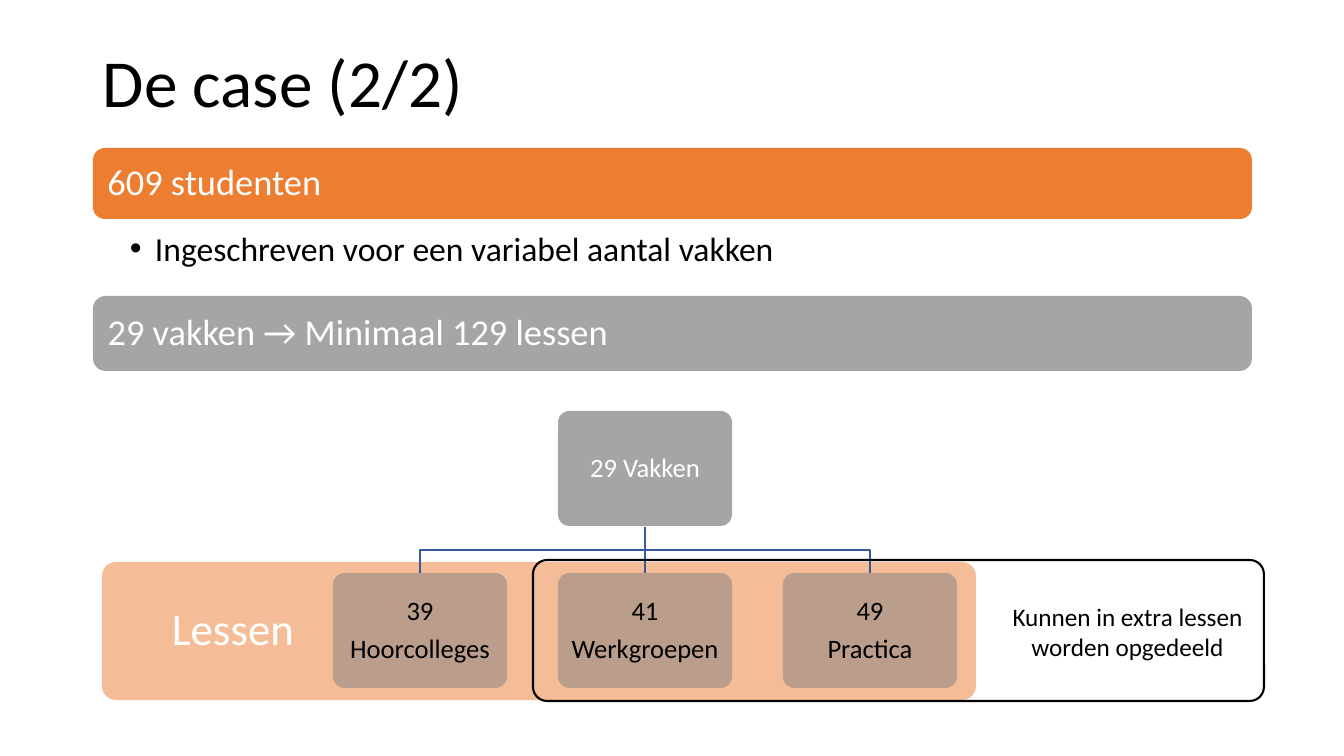
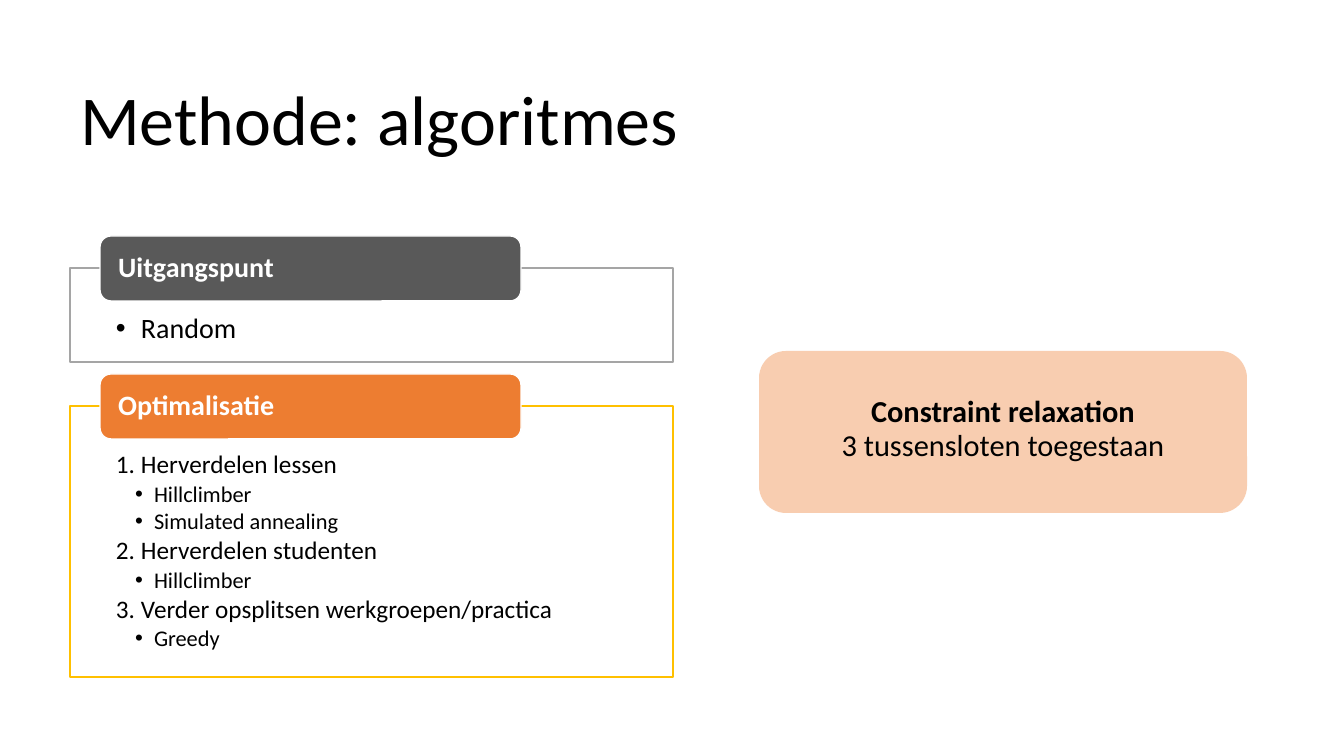
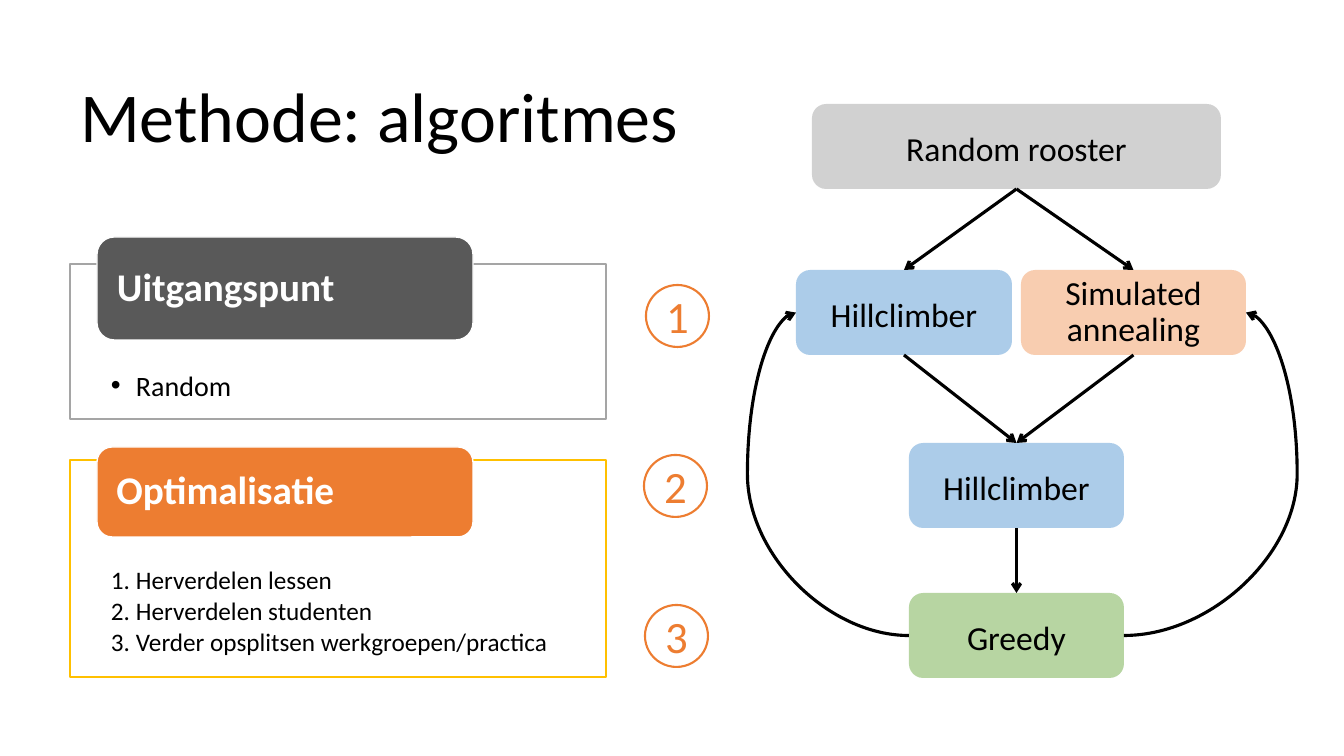
from dataclasses import dataclass

from pptx import Presentation
from pptx.dml.color import RGBColor
from pptx.enum.shapes import MSO_CONNECTOR, MSO_SHAPE
from pptx.enum.text import MSO_ANCHOR, PP_ALIGN
from pptx.oxml.ns import qn
from pptx.oxml.xmlchemy import OxmlElement
from pptx.util import Emu, Pt

SCALE = 914400 / 100.8
TOP, LEFT, BOTTOM, RIGHT = range(4)


@dataclass(frozen=True)
class Theme:
    """Colours and type sizes of the deck."""
    font: str = "Calibri"
    black: str = "000000"
    white: str = "FFFFFF"
    orange: str = "ED7D31"
    yellow: str = "FFC000"
    grey: str = "A5A5A5"
    mid_grey: str = "808080"
    dark_grey: str = "595959"
    blue: str = "5B9BD5"
    green: str = "70AD47"
    link: str = "365B9D"
    title: int = 50
    large: int = 32
    heading: int = 28
    bar: int = 26
    body: int = 24
    item: int = 20
    card: int = 19
    note: int = 18
    sub: int = 16


THEME = Theme()


def px(value):
    """Turn pixels into EMU."""
    return Emu(round(value * SCALE))


def add_xml(parent, tag, **attributes):
    """Append a child element with attributes and return it."""
    child = OxmlElement(tag)
    for name, value in attributes.items():
        child.set(name, str(value))
    parent.append(child)
    return child


def set_mark(p, mark, margin, hang):
    """Give a paragraph a bullet, or a number when mark is '1.'."""
    pPr = p._p.get_or_add_pPr()
    pPr.set("marL", str(px(margin)))
    pPr.set("indent", str(-px(hang)))
    if mark == "1.":
        add_xml(pPr, "a:buFont", typeface="+mj-lt")
        add_xml(pPr, "a:buAutoNum", type="arabicPeriod")
    else:
        add_xml(pPr, "a:buFont", typeface="Arial")
        add_xml(pPr, "a:buChar", char=mark)


def add_paragraph(p, text, size=THEME.body, color=THEME.black, bold=False,
                  align=PP_ALIGN.LEFT, spacing=0.9, after=0, mark=None,
                  level=0, margin=25, hang=25):
    """Fill one paragraph with formatted text."""
    p.alignment, p.level = align, level
    p.line_spacing, p.space_after = spacing, Pt(after)
    if mark:
        set_mark(p, mark, margin, hang)
    r = p.add_run()
    r.text = text
    r.font.name, r.font.size, r.font.bold = THEME.font, Pt(size), bold
    r.font.color.rgb = RGBColor.from_string(color)


def write(sp, lines, anchor=MSO_ANCHOR.MIDDLE, inset=(10, 5, 10, 5), **style):
    """Write lines into a shape; a line is text or (text, own format)."""
    tf = sp.text_frame
    tf.word_wrap, tf.vertical_anchor = True, anchor
    tf.margin_left, tf.margin_top, tf.margin_right, tf.margin_bottom = map(px, inset)
    for i, line in enumerate([lines] if isinstance(lines, str) else lines):
        text, own = (line, {}) if isinstance(line, str) else line
        p = tf.add_paragraph() if i else tf.paragraphs[0]
        add_paragraph(p, text, **{**style, **own})


class Deck:
    """The presentation, its theme and the slide being drawn."""

    def __init__(self, theme):
        """Start an empty widescreen deck."""
        self.theme = theme
        self.prs = Presentation()
        self.prs.slide_width, self.prs.slide_height = px(1344), px(756)
        self.shapes = None

    def slide(self, title, at, size=THEME.title, anchor=MSO_ANCHOR.BOTTOM):
        """Add a slide with its title."""
        self.shapes = self.prs.slides.add_slide(self.prs.slide_layouts[6]).shapes
        self.text(title, at, size=size, anchor=anchor)

    def text(self, lines, at, **style):
        """Add a text box."""
        write(self.shapes.add_textbox(*map(px, at)), lines, **style)

    def outline(self, sp, color, width):
        """Set a line colour and width, or no line."""
        if color:
            sp.line.color.rgb = RGBColor.from_string(color)
            sp.line.width = Pt(width)
        else:
            sp.line.fill.background()

    def box(self, at, fill=None, alpha=100, line=None, width=1, adj=None,
            kind=MSO_SHAPE.ROUNDED_RECTANGLE):
        """Add a preset shape."""
        sp = self.shapes.add_shape(kind, *map(px, at))
        sp.shadow.inherit = False
        if adj is not None:
            sp.adjustments[0] = adj
        if fill:
            sp.fill.solid()
            sp.fill.fore_color.rgb = RGBColor.from_string(fill)
            if alpha < 100:
                clr = sp._element.spPr.find(qn("a:solidFill"))[0]
                add_xml(clr, "a:alpha", val=alpha * 1000)
        else:
            sp.fill.background()
        self.outline(sp, line, width)
        return sp

    def polyline(self, points, color, width=1):
        """Add an open line through points."""
        start, *rest = [(px(x), px(y)) for x, y in points]
        builder = self.shapes.build_freeform(*start)
        builder.add_line_segments(rest, close=False)
        sp = builder.convert_to_shape()
        sp.shadow.inherit = False
        sp.fill.background()
        self.outline(sp, color, width)

    def line(self, start, end, color, width=1, kind=MSO_CONNECTOR.STRAIGHT):
        """Add a connector without a shadow."""
        cxn = self.shapes.add_connector(kind, *map(px, (*start, *end)))
        self.outline(cxn, color, width)
        add_xml(cxn._element.spPr, "a:effectLst")
        return cxn

    def arrow(self, source, out, target, into, bend=None):
        """Join two shapes by an arrow, curved when bend is given."""
        kind = MSO_CONNECTOR.CURVE if bend else MSO_CONNECTOR.STRAIGHT
        cxn = self.line((0, 0), (1, 1), self.theme.black, 2.25, kind)
        cxn.begin_connect(source, out)
        cxn.end_connect(target, into)
        spPr = cxn._element.spPr
        add_xml(spPr.find(qn("a:ln")), "a:tailEnd", type="arrow")
        if bend:
            guides = spPr.find(qn("a:prstGeom")).find(qn("a:avLst"))
            add_xml(guides, "a:gd", name="adj1", fmla=f"val {round(bend * 100000)}")
            xfrm = spPr.find(qn("a:xfrm"))
            if xfrm.get("flipH") and xfrm.get("flipV"):
                del xfrm.attrib["flipH"], xfrm.attrib["flipV"]
                xfrm.set("rot", "10800000")

    def bar(self, text, at, fill):
        """Add a full-width heading bar."""
        write(self.box(at, fill), text, inset=(11,) * 4,
              size=self.theme.bar, color=self.theme.white)

    def card(self, lines, at, fill, color, alpha=100):
        """Add a card of the tree."""
        write(self.box(at, fill, alpha, adj=0.1), lines, inset=(8,) * 4, after=6.65,
              size=self.theme.card, color=color, align=PP_ALIGN.CENTER)

    def section(self, title, tab, fill, frame, line, items, inset, size):
        """Add a framed list with a title tab on its top edge."""
        sp = self.box(frame, self.theme.white, line=line, kind=MSO_SHAPE.RECTANGLE)
        write(sp, items, anchor=MSO_ANCHOR.TOP, inset=inset)
        sp = self.box(tab, fill, line=self.theme.white)
        write(sp, title, inset=(15, 0, 15, 0), size=size, color=self.theme.white, bold=True)

    def node(self, text, at, fill, alpha=50, drop=8):
        """Add a step of the flow chart."""
        sp = self.box(at, fill, alpha)
        write(sp, text, inset=(10, drop, 10, 0), align=PP_ALIGN.CENTER)
        return sp

    def badge(self, text, at):
        """Add a number in a circle."""
        sp = self.box((*at, 63, 62), line=self.theme.orange, width=1.5, kind=MSO_SHAPE.OVAL)
        write(sp, text, inset=(0, 5, 0, 5), size=self.theme.large, spacing=1,
              color=self.theme.orange, align=PP_ALIGN.CENTER)


def bullet(text):
    """Describe a bulleted item."""
    return text, dict(size=THEME.item, mark="•", after=3)


def numbered(text):
    """Describe a numbered item."""
    return text, dict(size=THEME.note, mark="1.", after=2.7)


def sub_bullet(text):
    """Describe a bullet below a numbered item."""
    return text, dict(size=THEME.sub, mark="•", after=2.4, level=1, margin=38, hang=19)


def case_slide(deck):
    """Draw the case: students, courses and lessons."""
    t = deck.theme
    deck.slide("De case (2/2)", (93, 23, 1159, 125), 48, MSO_ANCHOR.MIDDLE)
    deck.bar("609 studenten", (93, 148, 1159, 71), t.orange)
    deck.text([("Ingeschreven voor een variabel aantal vakken", dict(mark="•"))],
              (93, 229, 1159, 39), anchor=MSO_ANCHOR.TOP, inset=(37, 3, 19, 3))
    deck.bar("29 vakken → Minimaal 129 lessen", (93, 296, 1159, 75), t.grey)

    lessons = deck.box((102, 562, 874, 138), t.orange, 50, adj=0.1)
    write(lessons, "Lessen", inset=(25, 25, 637, 25), size=t.large,
          color=t.white, align=PP_ALIGN.CENTER)

    card_w, card_h, top, pitch, center = 174, 115, 573, 225, 645
    deck.card("29 Vakken", (center - card_w / 2, 411, card_w, card_h), t.grey, t.white)
    kinds = [("39", "Hoorcolleges"), ("41", "Werkgroepen"), ("49", "Practica")]
    for i, lines in enumerate(kinds):
        x = center + (i - 1) * pitch
        if x == center:
            deck.line((center, 527), (center, top), t.link)
        else:
            deck.polyline([(center, 527), (center, 550), (x, 550), (x, top)], t.link)
        deck.card(lines, (x - card_w / 2, top, card_w, card_h), t.mid_grey, t.black, 50)

    deck.box((533, 560, 731, 141), line=t.black, width=1.5, adj=0.1)
    deck.text("Kunnen in extra lessen worden opgedeeld", (971, 596, 313, 71),
              size=t.note, spacing=1, align=PP_ALIGN.CENTER)


def methods_slide(deck):
    """Draw the list of algorithms."""
    t = deck.theme
    deck.slide("Methode: algoritmes", (70, 3, 845, 163))
    inset = (46, 46, 46, 12)
    deck.section("Uitgangspunt", (100, 236, 421, 65), t.dark_grey,
                 (70, 268, 603, 94), t.grey, [bullet("Random")], inset, t.item)
    steps = [numbered("Herverdelen lessen"), sub_bullet("Hillclimber"),
             sub_bullet("Simulated annealing"), numbered("Herverdelen studenten"),
             sub_bullet("Hillclimber"), numbered("Verder opsplitsen werkgroepen/practica"),
             sub_bullet("Greedy")]
    deck.section("Optimalisatie", (100, 374, 421, 65), t.orange,
                 (70, 406, 603, 271), t.yellow, steps, inset, t.item)
    write(deck.box((759, 351, 488, 162), t.orange, 38),
          [("Constraint relaxation", dict(bold=True)), "3 tussensloten toegestaan"],
          size=21.7, spacing=0.7, after=6, align=PP_ALIGN.CENTER)


def flow_slide(deck):
    """Draw the order in which the algorithms run."""
    t = deck.theme
    deck.slide("Methode: algoritmes", (70, 0, 727, 163))
    inset = (41, 108, 41, 14)
    deck.section("Uitgangspunt", (97, 237, 376, 103), t.dark_grey,
                 (70, 264, 536, 155), t.grey, [bullet("Random")], inset, t.heading)
    steps = [numbered("Herverdelen lessen"), numbered("Herverdelen studenten"),
             numbered("Verder opsplitsen werkgroepen/practica")]
    deck.section("Optimalisatie", (97, 447, 376, 90), t.orange,
                 (70, 460, 536, 217), t.yellow, steps, inset, t.heading)

    start = deck.node("Random rooster", (812, 104, 409, 85), t.grey)
    climb = deck.node("Hillclimber", (796, 270, 216, 85), t.blue)
    anneal = deck.node("Simulated annealing", (1021, 270, 225, 85), t.orange, 38, 0)
    students = deck.node("Hillclimber", (909, 443, 215, 85), t.blue)
    greedy = deck.node("Greedy", (909, 593, 215, 85), t.green)
    for first in (climb, anneal):
        deck.arrow(start, BOTTOM, first, TOP)
        deck.arrow(first, BOTTOM, students, TOP)
    deck.arrow(students, BOTTOM, greedy, TOP)
    deck.arrow(greedy, RIGHT, anneal, RIGHT, bend=1.42)
    deck.arrow(greedy, LEFT, climb, LEFT, bend=1.43)

    for number, at in enumerate([(646, 285), (644, 455), (645, 605)], 1):
        deck.badge(str(number), at)


deck = Deck(THEME)
case_slide(deck)
methods_slide(deck)
flow_slide(deck)
deck.prs.save("out.pptx")
